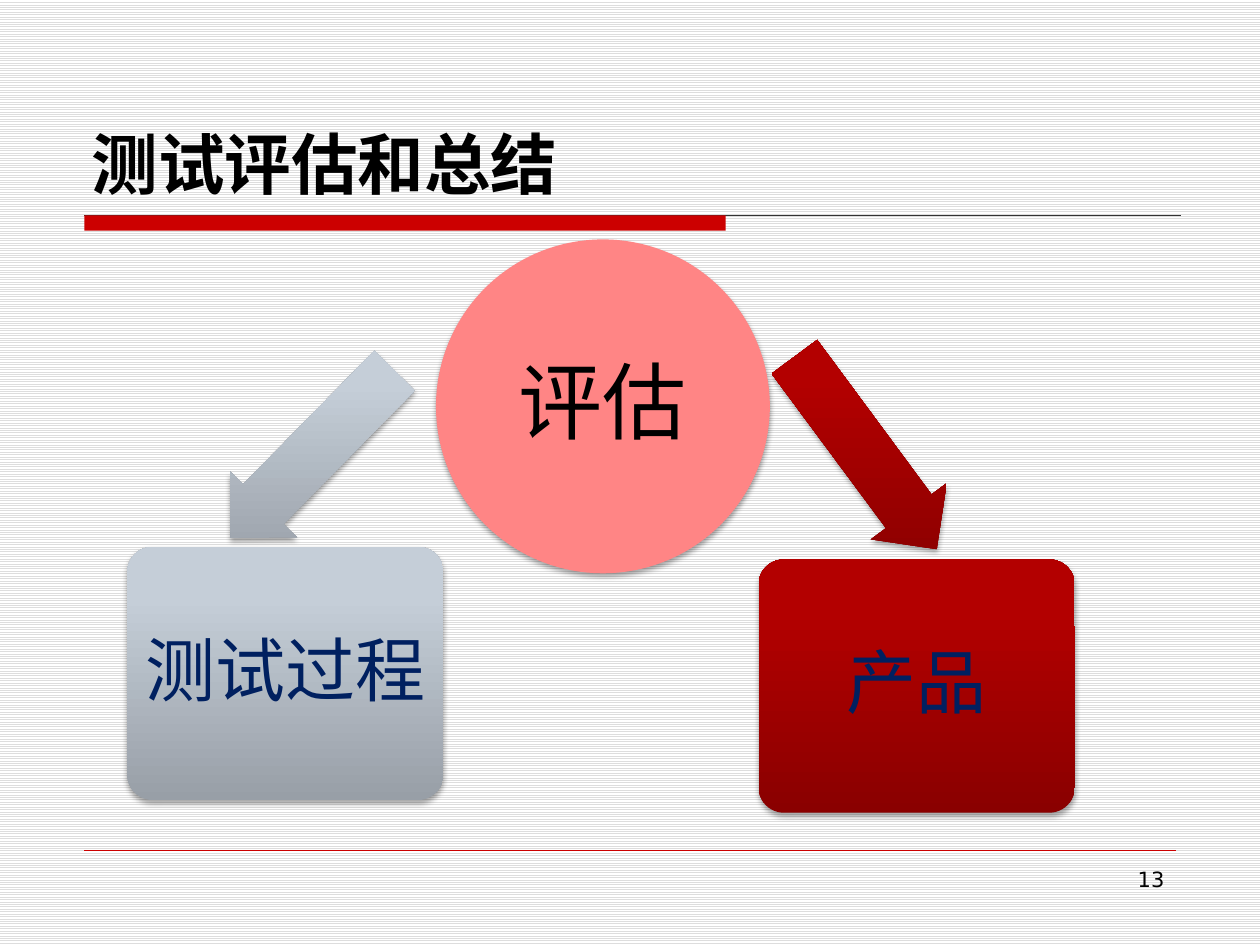
from copy import deepcopy

from lxml.etree import SubElement
from pptx import Presentation
from pptx.dml.color import RGBColor
from pptx.enum.dml import MSO_PATTERN
from pptx.enum.shapes import MSO_CONNECTOR, MSO_SHAPE
from pptx.enum.text import MSO_ANCHOR, PP_ALIGN
from pptx.oxml.ns import qn
from pptx.util import Inches, Pt

BLACK = RGBColor(0x00, 0x00, 0x00)
WHITE = RGBColor(0xFF, 0xFF, 0xFF)
STRIPE = RGBColor(0xDD, 0xDD, 0xDD)
RULE = RGBColor(0x33, 0x33, 0x33)
RED = RGBColor(0xCC, 0x00, 0x00)
PINK = RGBColor(0xFF, 0x85, 0x85)
NAVY = RGBColor(0x00, 0x20, 0x60)
GREY_STOPS = [RGBColor(0x98, 0x9F, 0xA7), RGBColor(0xC5, 0xCE, 0xD8), RGBColor(0xC6, 0xCF, 0xDA)]
RED_STOPS = [RGBColor(0x8A, 0x00, 0x00), RGBColor(0xB3, 0x00, 0x00), RGBColor(0xB4, 0x00, 0x00)]
LATIN, CJK = "DejaVu Sans", "Noto Sans CJK SC"


def write(shape, text, font, size, color, align, anchor, bold=False):
    frame = shape.text_frame
    frame.word_wrap = True
    frame.vertical_anchor = anchor
    frame.text = text
    paragraph = frame.paragraphs[0]
    paragraph.alignment = align
    run = paragraph.runs[0]
    run.font.name = font
    run.font.size = Pt(size)
    run.font.bold = bold
    run.font.color.rgb = color
    SubElement(run.font._element, qn("a:ea"), typeface=CJK)
    return frame


def add_block(kind, box, paint, rotation=0):
    """Add a shape with a soft shadow, in a flat colour or a list of gradient stops."""
    shape = slide.shapes.add_shape(kind, *map(Inches, box))
    shape.rotation = rotation
    shape.line.fill.background()
    if isinstance(paint, RGBColor):
        shape.fill.solid()
        shape.fill.fore_color.rgb = paint
    else:
        shape.fill.gradient()
        shape.fill.gradient_angle = 90
        gradient = shape._element.spPr.find(qn("a:gradFill"))
        gradient.set("rotWithShape", "0")
        stop_list = gradient.find(qn("a:gsLst"))
        stop_list.append(deepcopy(stop_list[-1]))
        for stop, color, position in zip(shape.fill.gradient_stops, paint, (0, 0.8, 1)):
            stop.color.rgb = color
            stop.position = position
    shape.shadow.inherit = False
    effects = shape._element.spPr.find(qn("a:effectLst"))
    shadow = SubElement(effects, qn("a:outerShdw"), blurRad=str(Pt(3.1)), dist=str(Pt(1.8)),
                        dir="5400000", rotWithShape="0")
    shadow_color = SubElement(shadow, qn("a:srgbClr"), val="000000")
    SubElement(shadow_color, qn("a:alpha"), val="35000")
    return shape


presentation = Presentation()
presentation.slide_width, presentation.slide_height = Inches(10), Inches(7.5)
slide = presentation.slides.add_slide(presentation.slide_layouts[6])

# Striped background
background = slide.background.fill
background.patterned()
background.pattern = MSO_PATTERN.LIGHT_HORIZONTAL
background.fore_color.rgb = STRIPE
background.back_color.rgb = WHITE

# Header and footer rules, with the thick bar under the title
for right, y, color, width in [(9.37, 1.71, RULE, 0.75), (9.33, 6.75, RED, 0.25)]:
    line = slide.shapes.add_connector(MSO_CONNECTOR.STRAIGHT, Inches(0.67), Inches(y),
                                      Inches(right), Inches(y))
    line.line.color.rgb = color
    line.line.width = Pt(width)
    SubElement(line._element.spPr, qn("a:effectLst"))
bar = slide.shapes.add_shape(MSO_SHAPE.RECTANGLE, Inches(0.67), Inches(1.71),
                             Inches(5.09), Inches(0.12))
bar.fill.solid()
bar.fill.fore_color.rgb = RED
bar.line.fill.background()
bar.shadow.inherit = False

# Title and page number
title = slide.shapes.add_textbox(Inches(0.63), Inches(0.33), Inches(8.75), Inches(1.33))
write(title, "测试评估和总结", LATIN, 38, BLACK, PP_ALIGN.LEFT, MSO_ANCHOR.BOTTOM, bold=True)
number = slide.shapes.add_textbox(Inches(7.17), Inches(6.83), Inches(2.17), Inches(0.52))
write(number, "13", LATIN, 12, BLACK, PP_ALIGN.RIGHT, MSO_ANCHOR.TOP)

# Evaluation circle, and the two things evaluated
circle = add_block(MSO_SHAPE.OVAL, (3.46, 1.9, 2.65, 2.65), PINK)
cards = []
for box, stops, arrow_box, rotation in [
    ((1.01, 4.34, 2.51, 2.01), GREY_STOPS, (1.55, 3.23, 1.86, 0.75), 314.5),
    ((6.02, 4.44, 2.51, 2.01), RED_STOPS, (5.92, 3.22, 1.9, 0.75), 233.5),
]:
    arrow = add_block(MSO_SHAPE.LEFT_ARROW, arrow_box, stops, rotation)
    arrow.adjustments[0], arrow.adjustments[1] = 0.6, 0.5
    card = add_block(MSO_SHAPE.ROUNDED_RECTANGLE, box, stops)
    card.adjustments[0] = 0.1
    cards.append(card)

# Labels inside the shapes
for shape, text, size, color, inset in [
    (circle, "评估", 48, BLACK, 0.03),
    (cards[0], "测试过程", 40, NAVY, 0.08),
    (cards[1], "产品", 40, NAVY, 0.08),
]:
    frame = write(shape, text, CJK, size, color, PP_ALIGN.CENTER, MSO_ANCHOR.MIDDLE)
    frame.margin_left = frame.margin_right = Inches(inset)
    frame.margin_top = frame.margin_bottom = Inches(inset)
    frame.paragraphs[0].line_spacing = 0.9

presentation.save("out.pptx")
